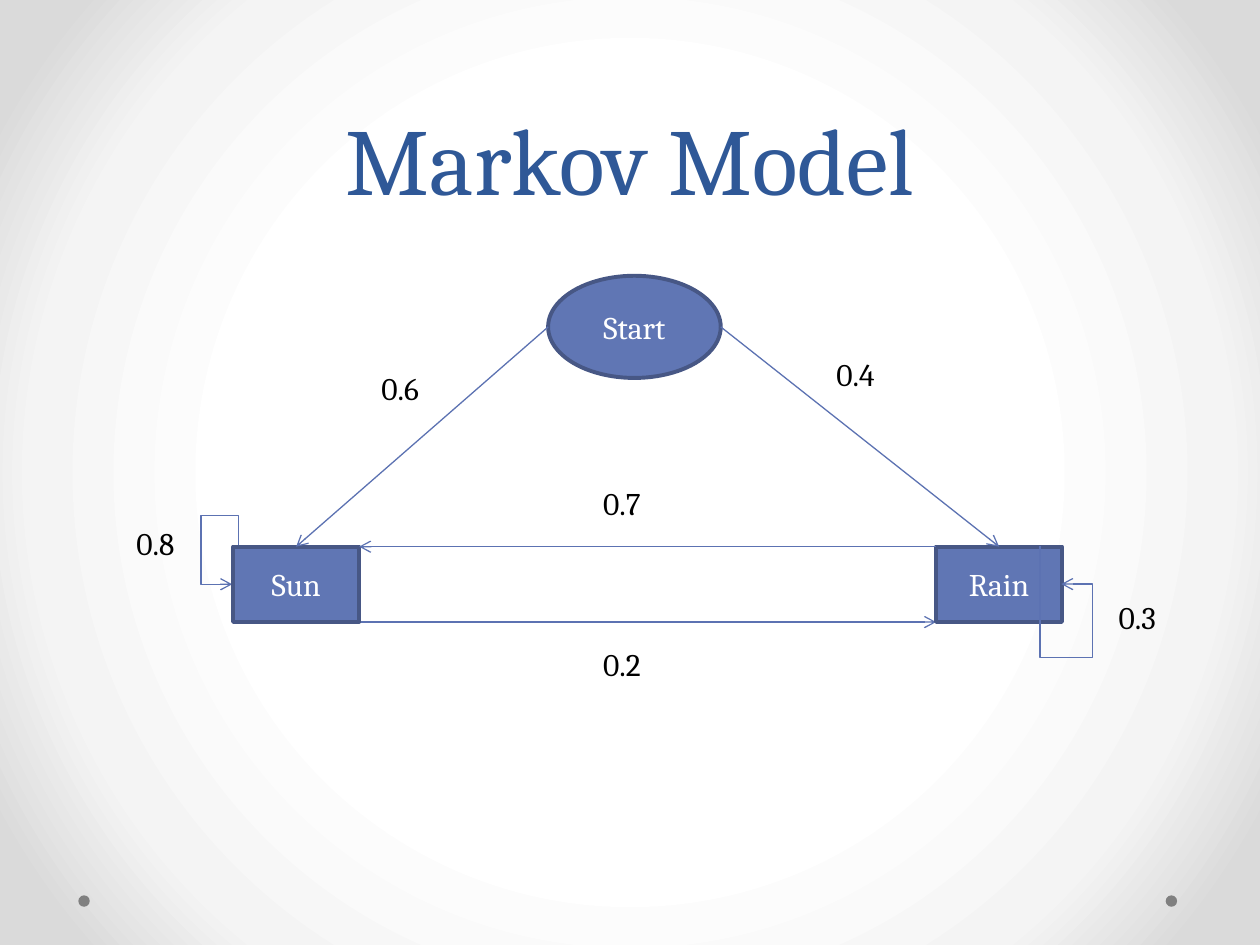
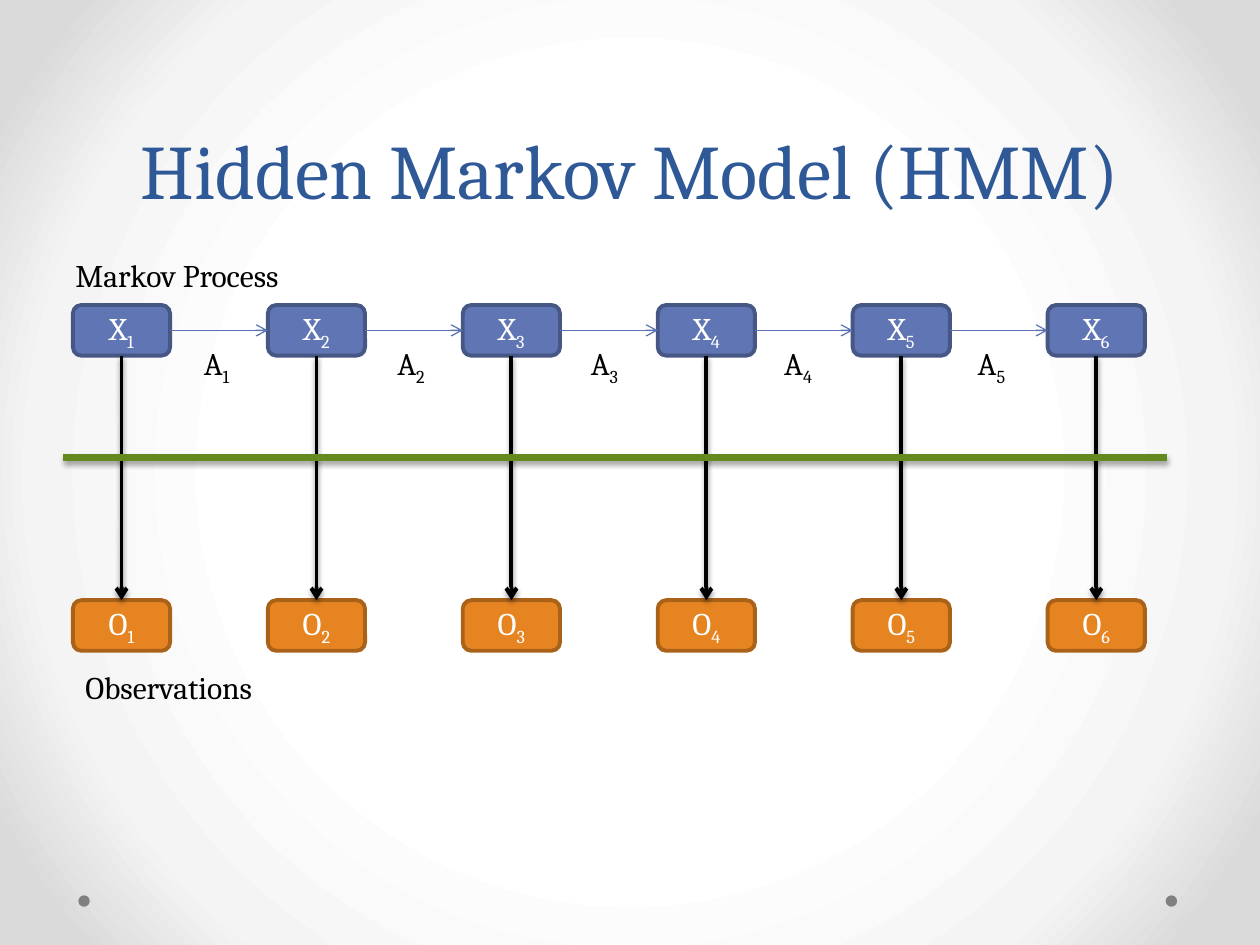
from dataclasses import dataclass

from lxml.etree import SubElement
from pptx import Presentation
from pptx.dml.color import RGBColor
from pptx.enum.shapes import MSO_CONNECTOR, MSO_SHAPE
from pptx.enum.text import MSO_ANCHOR, MSO_AUTO_SIZE, PP_ALIGN
from pptx.oxml.ns import qn
from pptx.util import Cm, Pt

FONT = "Cambria"
TITLE_BLUE = RGBColor(0x2F, 0x58, 0x97)
BLUE = RGBColor(0x60, 0x76, 0xB4)
DARK_BLUE = RGBColor(0x47, 0x57, 0x85)
ARROW_BLUE = RGBColor(0x5C, 0x72, 0xB2)
ORANGE = RGBColor(0xE6, 0x84, 0x22)
DARK_ORANGE = RGBColor(0xAA, 0x62, 0x19)
GREEN = RGBColor(0x63, 0x89, 0x1F)
GREY = RGBColor(0x80, 0x80, 0x80)
BLACK = RGBColor(0x00, 0x00, 0x00)
WHITE = RGBColor(0xFF, 0xFF, 0xFF)
LIGHT_GREY = RGBColor(0xF4, 0xF4, 0xF4)
EDGE_GREY = RGBColor(0xDA, 0xDA, 0xDA)
BACKGROUND_STOPS = ((50, WHITE), (76, LIGHT_GREY), (92, EDGE_GREY))


@dataclass
class Box:
    left: float
    top: float
    width: float
    height: float

    def inner(self, left, top, width, height):
        return Box(self.left + left, self.top + top, width, height)

    def point(self, across, down):
        return self.left + across * self.width, self.top + down * self.height

    def lengths(self):
        return [Cm(value) for value in (self.left, self.top, self.width, self.height)]


SLIDE = Box(0, 0, 25.4, 19.05)
TITLE = Box(1.27, 0, 22.86, 4.45)
MARKOV_DIAGRAM = Box(2.5, 5.56, 21.12, 8.49)
HIDDEN_DIAGRAM = Box(1.27, 5.03, 22.25, 9.33)


def add_xml(parent, tag, **attributes):
    child = SubElement(parent, qn(tag))
    for name, value in attributes.items():
        child.set(name, str(value))
    return child


def set_background(master):
    fill = master.background.fill
    fill.gradient()
    gradient = master.element.find(".//" + qn("a:gradFill"))
    for child in list(gradient):
        gradient.remove(child)
    stops = add_xml(gradient, "a:gsLst")
    for position, color in BACKGROUND_STOPS:
        stop = add_xml(stops, "a:gs", pos=position * 1000)
        add_xml(stop, "a:srgbClr", val=color)
    circle = add_xml(gradient, "a:path", path="circle")
    add_xml(circle, "a:fillToRect", l=50000, t=50000, r=50000, b=50000)


def write_text(shape, text, color, size=18, alignment=PP_ALIGN.LEFT, subscript=None):
    paragraph = shape.text_frame.paragraphs[0]
    paragraph.alignment = alignment
    paragraph.font.name = FONT
    paragraph.font.size = Pt(size)
    paragraph.font.color.rgb = color
    paragraph.add_run().text = text
    if subscript is not None:
        run = paragraph.add_run()
        run.text = str(subscript)
        run._r.get_or_add_rPr().set("baseline", "-25000")
    return paragraph


def add_label(slide, box, text, subscript=None):
    label = slide.shapes.add_textbox(*box.lengths())
    label.text_frame.word_wrap = False
    label.text_frame.auto_size = MSO_AUTO_SIZE.SHAPE_TO_FIT_TEXT
    write_text(label, text, BLACK, subscript=subscript)


def add_filled_shape(slide, kind, box, fill):
    shape = slide.shapes.add_shape(kind, *box.lengths())
    shape.shadow.inherit = False
    shape.fill.solid()
    shape.fill.fore_color.rgb = fill
    shape.line.fill.background()
    return shape


def add_node(slide, kind, box, text, fill=BLUE, outline=DARK_BLUE, subscript=None):
    node = add_filled_shape(slide, kind, box, fill)
    node.line.color.rgb = outline
    node.line.width = Pt(2.25)
    node.text_frame.vertical_anchor = MSO_ANCHOR.MIDDLE
    write_text(node, text, WHITE, alignment=PP_ALIGN.CENTER, subscript=subscript)


def add_line(slide, start, end, color=ARROW_BLUE, width=0.75, arrow=True,
             shadow_opacity=None, kind=MSO_CONNECTOR.STRAIGHT):
    ends = [Cm(value) for value in (*start, *end)]
    connector = slide.shapes.add_connector(kind, *ends)
    connector.line.color.rgb = color
    connector.line.width = Pt(width)
    properties = connector.element.spPr
    if arrow:
        add_xml(properties.find(qn("a:ln")), "a:tailEnd", type="arrow")
    effects = add_xml(properties, "a:effectLst")
    if shadow_opacity:
        shadow = add_xml(effects, "a:outerShdw", blurRad=Pt(3.1), dist=Pt(1.7),
                         dir=5400000, rotWithShape=0)
        shadow_color = add_xml(shadow, "a:srgbClr", val=BLACK)
        add_xml(shadow_color, "a:alpha", val=shadow_opacity * 1000)
    return connector


def add_loop(slide, box, flip, bends):
    connector = add_line(slide, box.point(0, 0), box.point(1, 1), kind=MSO_CONNECTOR.ELBOW)
    properties = connector.element.spPr
    transform = properties.find(qn("a:xfrm"))
    transform.set("rot", "16200000")
    transform.set(flip, "1")
    geometry = properties.find(qn("a:prstGeom"))
    geometry.set("prst", "bentConnector4")
    adjustments = geometry.find(qn("a:avLst"))
    for number, bend in enumerate(bends, start=1):
        add_xml(adjustments, "a:gd", name=f"adj{number}", fmla=f"val {round(bend * 100000)}")


def add_frame(slide, box, title, size):
    for left in (23.5, 1.58):
        add_filled_shape(slide, MSO_SHAPE.OVAL, box.inner(left, 18.05, 0.23, 0.23), GREY)
    heading = slide.shapes.add_textbox(*TITLE.lengths())
    heading.text_frame.word_wrap = True
    heading.text_frame.vertical_anchor = MSO_ANCHOR.BOTTOM
    paragraph = write_text(heading, title, TITLE_BLUE, size, PP_ALIGN.CENTER)
    paragraph.line_spacing = Pt(58)


def add_markov_model(slide, box):
    start = box.inner(8.55, 0, 3.48, 2.06)
    sun = box.inner(2.2, 5.46, 2.54, 1.52)
    rain = box.inner(16.37, 5.46, 2.54, 1.52)

    add_line(slide, sun.point(1, 1), rain.point(0, 1))
    add_loop(slide, box.inner(1.89, 6.51, 0.71, 0.13), "flipV", (2.95, 5.82))
    add_node(slide, MSO_SHAPE.OVAL, start, "Start")
    add_node(slide, MSO_SHAPE.RECTANGLE, sun, "Sun")
    add_node(slide, MSO_SHAPE.RECTANGLE, rain, "Rain")
    add_line(slide, start.point(0, 0.5), sun.point(0.5, 0))
    add_line(slide, start.point(1, 0.5), rain.point(0.5, 0))
    add_line(slide, rain.point(0, 0), sun.point(1, 0))
    add_loop(slide, box.inner(18.3, 5.62, 0.76, 0.43), "flipH", (2.95, 2.46))

    probabilities = (
        ("0.4", 14.11, 1.48),
        ("0.6", 4.94, 1.76),
        ("0.2", 9.41, 7.32),
        ("0.7", 9.41, 4.07),
        ("0.8", 0, 4.88),
        ("0.3", 19.8, 6.38),
    )
    for text, left, top in probabilities:
        add_label(slide, box.inner(left, top, 1.32, 1.17), text)


def add_hidden_markov_model(slide, box):
    states, observations = (
        [box.inner(0.2 + 3.93 * index, top, 1.96, 1.02) for index in range(6)]
        for top in (1.12, 7.07)
    )
    for number, (state, observation) in enumerate(zip(states, observations), start=1):
        add_node(slide, MSO_SHAPE.ROUNDED_RECTANGLE, state, "X", subscript=number)
        add_node(slide, MSO_SHAPE.ROUNDED_RECTANGLE, observation, "O",
                 ORANGE, DARK_ORANGE, number)
        add_line(slide, state.point(0.5, 1), observation.point(0.5, 0),
                 BLACK, 2.25, shadow_opacity=38)

    for index, (state, following) in enumerate(zip(states, states[1:])):
        add_line(slide, state.point(1, 0.5), following.point(0, 0.5))
        add_label(slide, box.inner(2.59 + 3.9 * index, 1.78, 1.22, 1.02), "A", index + 1)

    divider = box.inner(0, 4.19, box.width, 0)
    add_line(slide, divider.point(0, 0), divider.point(1, 0), GREEN, 4,
             arrow=False, shadow_opacity=35)
    add_label(slide, box.inner(0, 0, 5.05, 1.02), "Markov Process")
    add_label(slide, box.inner(0.2, 8.31, 4.27, 1.02), "Observations")


def main():
    presentation = Presentation()
    presentation.slide_width = Cm(SLIDE.width)
    presentation.slide_height = Cm(SLIDE.height)
    set_background(presentation.slide_master)
    pages = (
        ("Markov Model", 54, add_markov_model, MARKOV_DIAGRAM),
        ("Hidden Markov Model (HMM)", 44, add_hidden_markov_model, HIDDEN_DIAGRAM),
    )
    for title, size, add_diagram, box in pages:
        slide = presentation.slides.add_slide(presentation.slide_layouts[6])
        add_frame(slide, SLIDE, title, size)
        add_diagram(slide, box)
    presentation.save("out.pptx")


if __name__ == "__main__":
    main()
